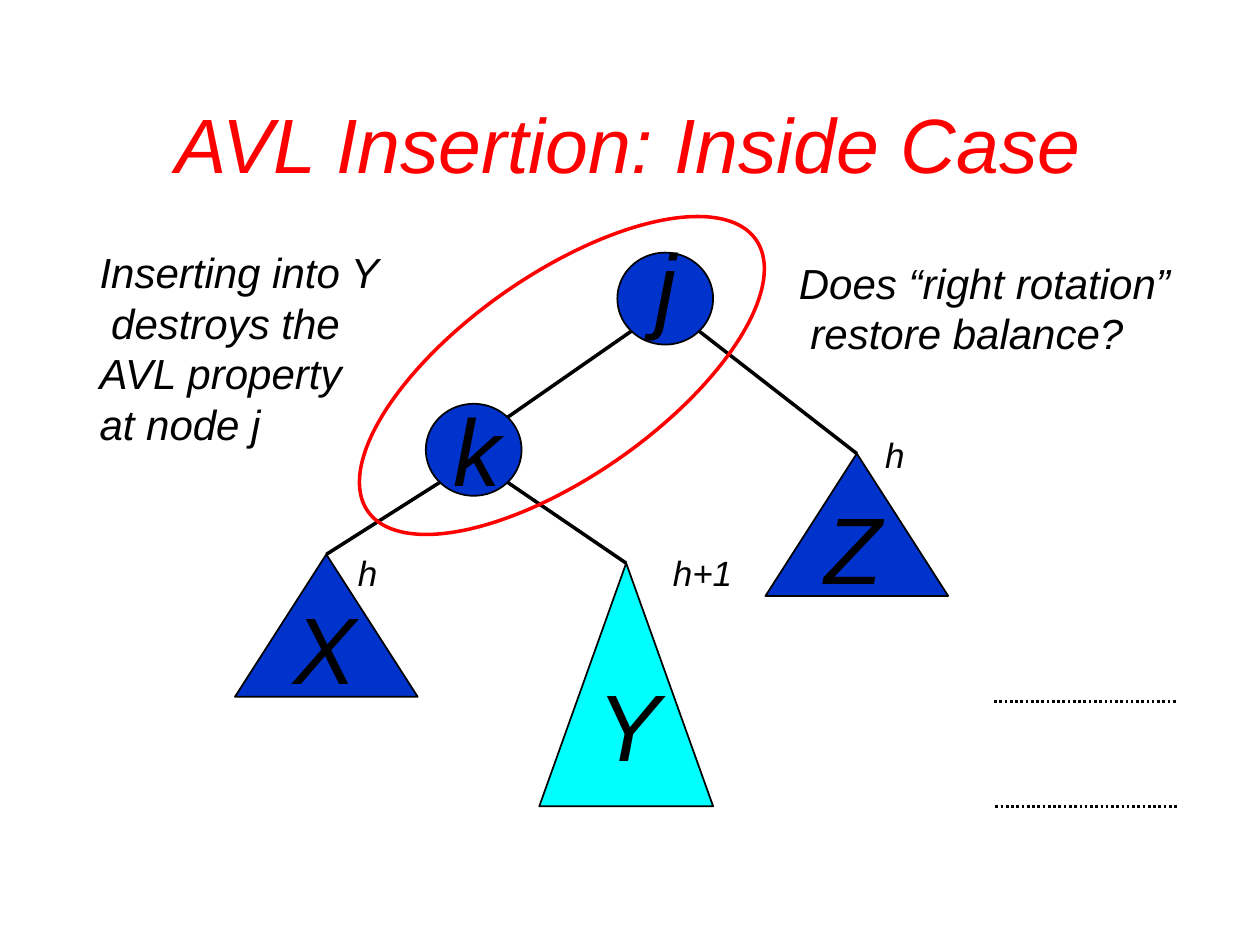
from pptx import Presentation
from pptx.dml.color import RGBColor
from pptx.enum.dml import MSO_LINE
from pptx.enum.shapes import MSO_CONNECTOR, MSO_SHAPE
from pptx.enum.text import PP_ALIGN
from pptx.oxml.ns import qn
from pptx.util import Inches, Pt
from lxml.etree import SubElement

BLACK, RED, BLUE, CYAN = "000000", "FF0000", "0033CC", "00FFFF"

# Tree nodes: centre x, centre y
NODE_W, NODE_H = 0.76, 0.73
NODES = {"j": (5.28, 2.37), "k": (3.76, 3.57)}

# Subtrees: apex x, apex y, width, height, fill
SUBTREES = {
    "X": (2.59, 4.4, 1.45, 1.13, BLUE),
    "Y": (4.97, 4.47, 1.38, 1.93, CYAN),
    "Z": (6.8, 3.6, 1.45, 1.13, BLUE),
}

# Edges: parent, child, side (-1 left, 1 right)
EDGES = [("j", "k", -1), ("j", "Z", 1), ("k", "X", -1), ("k", "Y", 1)]

# Dotted level marks: left, y
LEVELS = [(7.89, 5.57), (7.9, 6.4)]
LEVEL_W = 1.45

# Ring around j and k: centre x, centre y, width, height, rotation
RING = (4.46, 2.98, 3.76, 1.6, -35)

# Texts: words, left, top, width, height, size, colour
TEXTS = [
    ("AVL Insertion: Inside Case", 1.39, 0.75, 7.4, 0.76, 44, RED),
    ("Inserting into Y\v destroys the\vAVL property\vat node j",
     0.79, 1.94, 2.4, 1.63, 24, BLACK),
    ("Does “right rotation”\v restore balance?", 6.34, 2.02, 3.1, 0.83, 24, BLACK),
    ("j", 5.2, 1.78, 0.19, 0.93, 54, BLACK),
    ("k", 3.6, 3.09, 0.4, 0.93, 54, BLACK),
    ("X", 2.33, 4.66, 0.53, 0.93, 54, BLACK),
    ("Y", 4.74, 5.27, 0.53, 0.93, 54, BLACK),
    ("h", 2.84, 4.36, 0.18, 0.36, 20, BLACK),
    ("h+1", 5.34, 4.36, 0.5, 0.36, 20, BLACK),
]

prs = Presentation()
prs.slide_width, prs.slide_height = Inches(10), Inches(7.5)
s = prs.slides.add_slide(prs.slide_layouts[6])


def rgb(color):
    return RGBColor.from_string(color)


def shape(kind, x, y, w, h, fill=None, line=BLACK, weight=1):
    sp = s.shapes.add_shape(kind, Inches(x), Inches(y), Inches(w), Inches(h))
    sp.shadow.inherit = False
    if fill:
        sp.fill.solid()
        sp.fill.fore_color.rgb = rgb(fill)
    else:
        sp.fill.background()
    sp.line.color.rgb = rgb(line)
    sp.line.width = Pt(weight)
    return sp


def line(x1, y1, x2, y2, weight):
    c = s.shapes.add_connector(MSO_CONNECTOR.STRAIGHT, Inches(x1), Inches(y1),
                               Inches(x2), Inches(y2))
    c.line.color.rgb = rgb(BLACK)
    c.line.width = Pt(weight)
    SubElement(c._element.spPr, qn("a:effectLst"))
    return c


def style(p, size, color=BLACK):
    p.font.name, p.font.size, p.font.italic = "Arial", Pt(size), True
    p.font.color.rgb = rgb(color)


def text(words, x, y, w, h, size, color=BLACK, inset=0.02):
    tf = s.shapes.add_textbox(Inches(x), Inches(y), Inches(w), Inches(h)).text_frame
    tf.word_wrap = True
    tf.margin_left = tf.margin_right = tf.margin_bottom = 0
    tf.margin_top = Inches(inset)
    tf.paragraphs[0].text = words
    style(tf.paragraphs[0], size, color)
    return tf


def corner(node, side, down):
    """Point on a node's outline at 45 degrees."""
    x, y = NODES[node]
    reach = 0.5 ** 0.5 / 2
    return x + side * reach * NODE_W, y + down * reach * NODE_H


# Edges
for parent, child, side in EDGES:
    end = corner(child, -side, -1) if child in NODES else SUBTREES[child][:2]
    line(*corner(parent, side, 1), *end, 2)

# Nodes and subtrees
for x, y in NODES.values():
    shape(MSO_SHAPE.OVAL, x - NODE_W / 2, y - NODE_H / 2, NODE_W, NODE_H, BLUE)
for x, y, w, h, fill in SUBTREES.values():
    shape(MSO_SHAPE.ISOSCELES_TRIANGLE, x - w / 2, y, w, h, fill)

# Level marks
for x, y in LEVELS:
    line(x, y, x + LEVEL_W, y, 1.5).line.dash_style = MSO_LINE.ROUND_DOT

# Ring
x, y, w, h, angle = RING
shape(MSO_SHAPE.OVAL, x - w / 2, y - h / 2, w, h, line=RED, weight=2).rotation = angle

# Texts
for item in TEXTS:
    text(*item)

# Height and name of subtree Z share one box
tf = text("h", 6.54, 3.32, 0.64, 1.42, 20, inset=0.12)
tf.paragraphs[0].alignment = PP_ALIGN.RIGHT
p = tf.add_paragraph()
p.text = "Z"
p.space_before = Pt(8.5)
style(p, 54)

prs.save("out.pptx")
